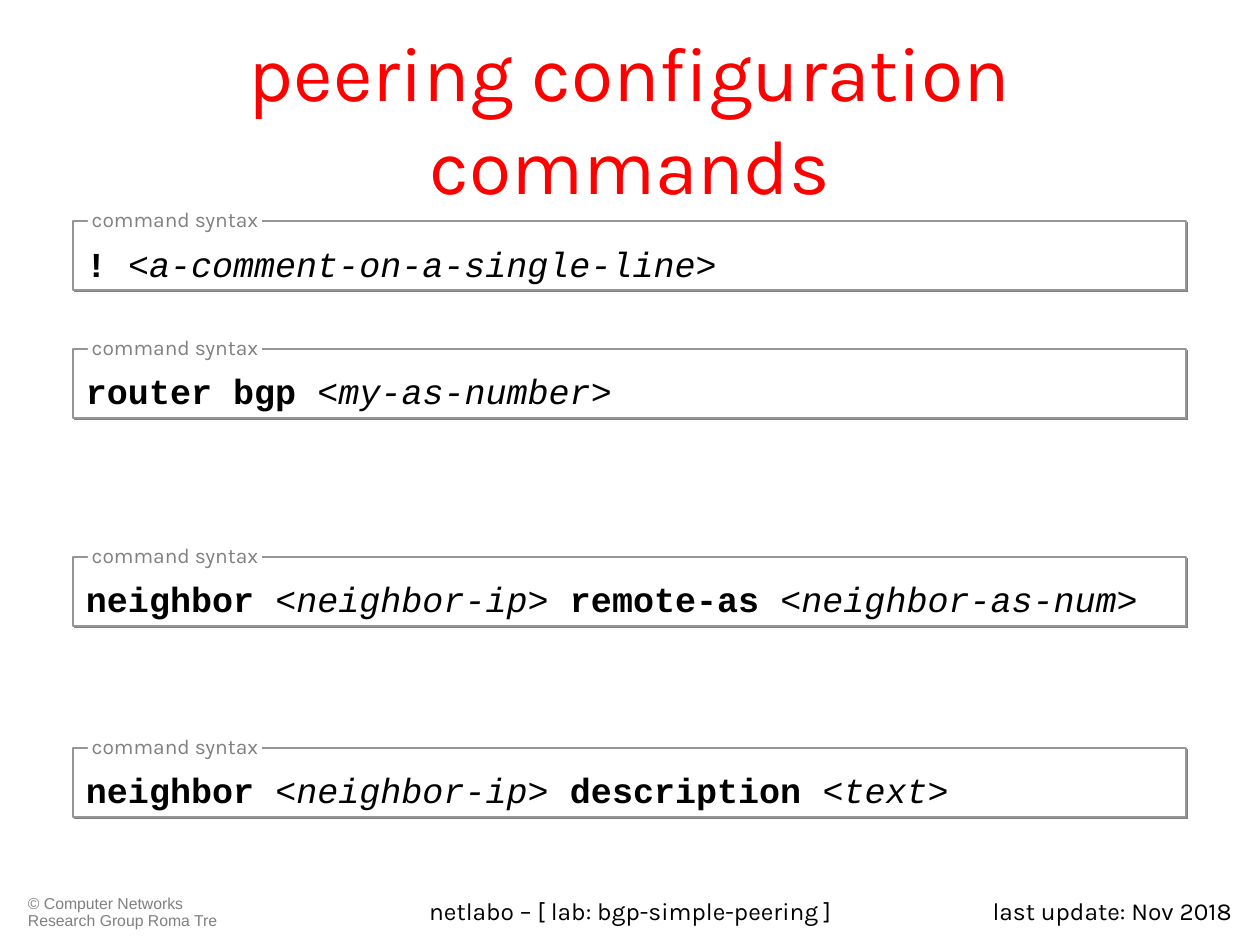
import pptx
import pptx.dml.color
import pptx.enum.shapes
import pptx.enum.text
import pptx.oxml
import pptx.oxml.ns
import pptx.util

PX = 914400 // 126
COLORS = {
    "title": "FF0000",
    "text": "000000",
    "muted": "808080",
    "border": "969696",
    "paper": "FFFFFF",
}
ALIGN = pptx.enum.text.PP_ALIGN
ANCHOR = pptx.enum.text.MSO_ANCHOR
FIT = pptx.enum.text.MSO_AUTO_SIZE.SHAPE_TO_FIT_TEXT
RECTANGLE = pptx.enum.shapes.MSO_SHAPE.RECTANGLE


def rgb(name):
    return pptx.dml.color.RGBColor.from_string(COLORS[name])


def write(shape, runs, font_name, size, color, frame_format, paragraph_format):
    frame = shape.text_frame
    margins = {"margin_left": 13 * PX, "margin_right": 13 * PX,
               "margin_top": 6 * PX, "margin_bottom": 6 * PX}
    base = {"word_wrap": True, "vertical_anchor": ANCHOR.TOP}
    for key, value in {**margins, **base, **frame_format}.items():
        setattr(frame, key, value)
    paragraph = frame.paragraphs[0]
    for key, value in paragraph_format.items():
        setattr(paragraph, key, value)
    for text, style in runs:
        run = paragraph.add_run()
        run.text = text
        font_format = {"name": font_name, "size": pptx.util.Pt(size), **style}
        for key, value in font_format.items():
            setattr(run.font, key, value)
        run.font.color.rgb = rgb(color)
    return paragraph


presentation = pptx.Presentation()
presentation.slide_width = pptx.util.Inches(10)
presentation.slide_height = pptx.util.Inches(7.5)
slide = presentation.slides.add_slide(presentation.slide_layouts[6])

plain_texts = [
    ("© Computer Networks Research Group Roma Tre", (15, 890, 218, 45), "Arial", 9, "muted",
     {}, {"alignment": ALIGN.LEFT, "line_spacing": 0.9}),
    ("last update: Nov 2018", (958, 890, 287, 45), "Karla", 14, "text",
     {}, {"alignment": ALIGN.RIGHT}),
    ("netlabo – [ lab: bgp-simple-peering ]", (323, 890, 615, 45), "Karla", 14, "text",
     {}, {"alignment": ALIGN.CENTER}),
    ("peering configuration commands", (63, 38, 1134, 158), "Karla", 44, "title",
     {"vertical_anchor": ANCHOR.MIDDLE}, {"alignment": ALIGN.CENTER}),
]
for text, bounds, font_name, size, color, frame_format, paragraph_format in plain_texts:
    text_box = slide.shapes.add_textbox(*(length * PX for length in bounds))
    write(text_box, [(text, {})], font_name, size, color, frame_format, paragraph_format)

KEYWORD = {"bold": True, "italic": False}
ARGUMENT = {"bold": False, "italic": True}
commands = [
    (221, ["! ", "<a-comment-on-a-single-line>"]),
    (349, ["router bgp ", "<my-as-number>"]),
    (557, ["neighbor ", "<neighbor-ip> ", "remote-as ", "<neighbor-as-num>"]),
    (748, ["neighbor ", "<neighbor-ip> ", "description ", "<text>"]),
]
shadow_xml = (
    f'<a:outerShdw {pptx.oxml.ns.nsdecls("a")} blurRad="0" dist="{pptx.util.Pt(1.4)}" '
    f'dir="2700000" algn="ctr" rotWithShape="0"><a:srgbClr val="{COLORS["muted"]}"/></a:outerShdw>'
)
for top, parts in commands:
    group = slide.shapes.add_group_shape()
    box = group.shapes.add_shape(RECTANGLE, 73 * PX, top * PX, 1113 * PX, 69 * PX)
    label = group.shapes.add_shape(RECTANGLE, 88 * PX, (top - 21) * PX, 174 * PX, 38 * PX)
    for shape in (box, label):
        shape.shadow.inherit = False
        shape.fill.solid()
        shape.fill.fore_color.rgb = rgb("paper")
    box.line.color.rgb = rgb("border")
    box.line.width = pptx.util.Pt(0.75)
    label.line.fill.background()
    box.element.spPr.find(pptx.oxml.ns.qn("a:effectLst")).append(pptx.oxml.parse_xml(shadow_xml))

    runs = [(part, ARGUMENT if index % 2 else KEYWORD) for index, part in enumerate(parts)]
    paragraph = write(box, runs, "Courier New", 20, "text",
                      {"margin_top": 21 * PX, "auto_size": FIT},
                      {"alignment": ALIGN.LEFT, "space_before": pptx.util.Pt(5)})
    properties = paragraph._p.get_or_add_pPr()
    properties.set("marL", str(48 * PX))
    properties.set("indent", str(-48 * PX))
    write(label, [("command syntax", {})], "Karla", 12, "muted",
          {"margin_left": 3 * PX, "margin_right": 3 * PX, "word_wrap": False,
           "vertical_anchor": ANCHOR.MIDDLE, "auto_size": FIT},
          {"alignment": ALIGN.CENTER, "space_before": pptx.util.Pt(7.5)})

presentation.save("out.pptx")
